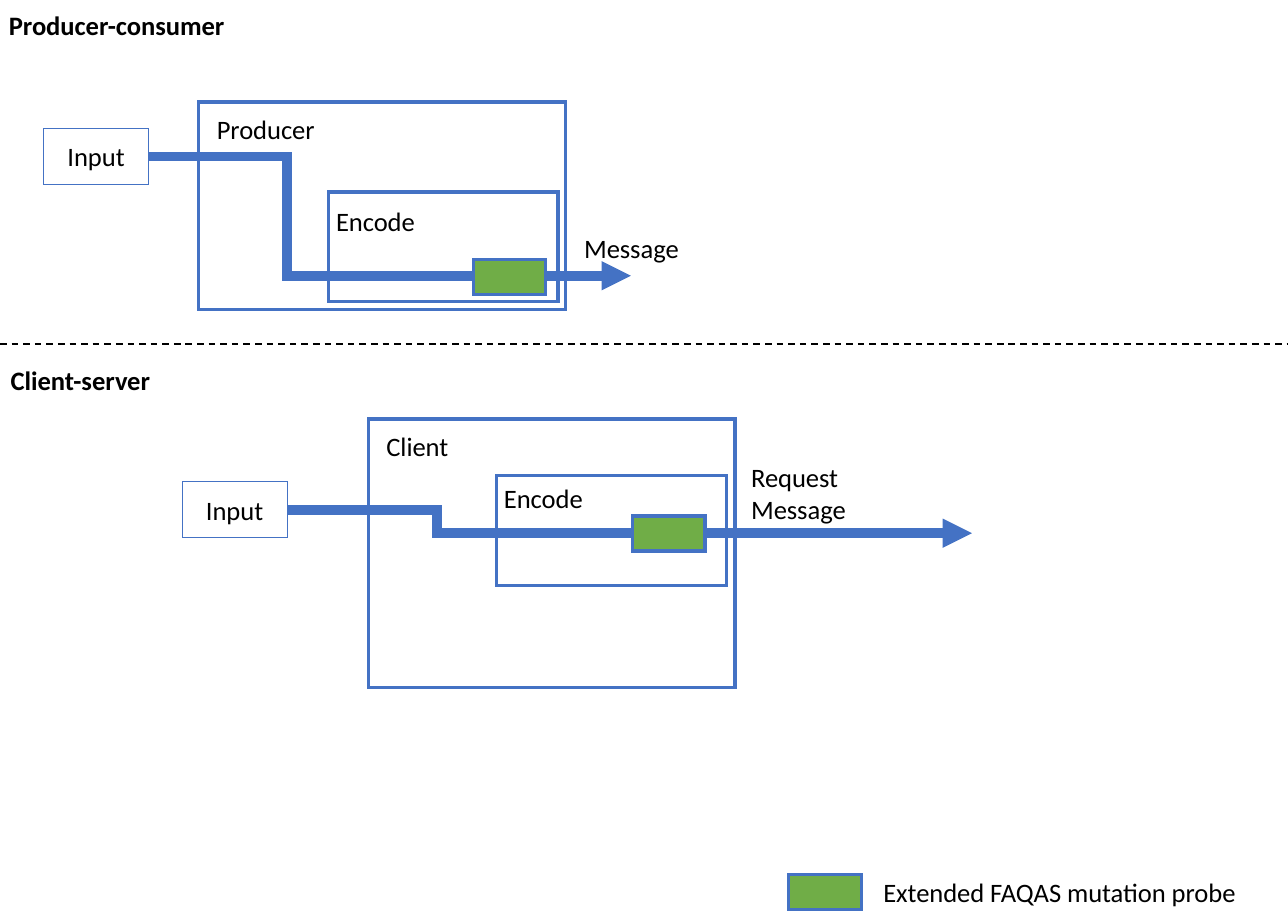
from dataclasses import dataclass

import pptx
import pptx.dml.color
import pptx.enum.dml
import pptx.enum.shapes
import pptx.enum.text
import pptx.oxml
import pptx.oxml.ns
import pptx.util

COLORS = {"blue": "4472C4", "green": "70AD47", "black": "000000"}
FONT = "Calibri"
FONT_SIZE = 8.2
ROW_HEIGHT = 17.28
SLIDE_WIDTH, SLIDE_HEIGHT = 396.85, 283.46
DIVIDER_Y = 106
NAMESPACE = pptx.oxml.ns.nsdecls("a")


@dataclass
class Box:
    left: float
    top: float
    width: float
    height: float
    fill: str = ""
    hairline: bool = False
    text: str = ""


@dataclass
class Label:
    text: str
    left: float
    top: float
    width: float
    height: float = ROW_HEIGHT
    bold: bool = False


@dataclass
class Flow:
    start: tuple[float, float]
    end: tuple[float, float]
    bend: float


def component(left: float, top: float, height: float) -> Box:
    return Box(left, top, 113.04, height)


def encoder(left: float, top: float) -> Box:
    return Box(left, top, 70.8, 33.84)


def input_box(left: float, top: float) -> Box:
    return Box(left, top, 32.4, ROW_HEIGHT, hairline=True, text="Input")


def probe(left: float, top: float) -> Box:
    return Box(left, top, 22.32, 10.8, fill="green")


BOXES = [
    component(61.2, 31.4, 64.08),
    encoder(101.2, 59.2),
    input_box(13.4, 39.5),
    component(113.5, 129.1, 82.8),
    encoder(153.1, 146.6),
    input_box(56.1, 148.5),
]
FLOWS = [
    Flow((45.9, 48.24), (194.4, 84.96), 0.286),
    Flow((88.5, 157.1), (299.52, 164.3), 0.219),
]
PROBES = [probe(145.85, 79.92), probe(194.9, 159.0), probe(243.05, 269.4)]
LABELS = [
    Label("Producer-consumer", -4.32, -0.72, 82.08, bold=True),
    Label("Producer", 59.76, 31.4, 45.36),
    Label("Encode", 96.5, 59.76, 38.88),
    Label("Message", 172.9, 68, 43.92),
    Label("Client-server", -3.8, 108.72, 58.32, bold=True),
    Label("Client", 112, 129.1, 33.84),
    Label("Encode", 148.2, 144.95, 38.88),
    Label("Request\nMessage", 224.35, 138.5, 43.92, 27.36),
    Label("Extended FAQAS mutation probe", 265.1, 266.4, 124.56),
]


def rgb(name: str) -> pptx.dml.color.RGBColor:
    return pptx.dml.color.RGBColor.from_string(COLORS[name])


def write(frame, text: str, bold: bool = False, centred: bool = False) -> None:
    frame.text = text
    frame.word_wrap = False
    frame.auto_size = pptx.enum.text.MSO_AUTO_SIZE.SHAPE_TO_FIT_TEXT
    align = pptx.enum.text.PP_ALIGN
    for paragraph in frame.paragraphs:
        paragraph.alignment = align.CENTER if centred else align.LEFT
        for run in paragraph.runs:
            run.font.name = FONT
            run.font.size = pptx.util.Pt(FONT_SIZE)
            run.font.bold = bold
            run.font.color.rgb = rgb("black")


def sharpen_corners(outline) -> None:
    outline._get_or_add_ln().append(
        pptx.oxml.parse_xml(f'<a:miter {NAMESPACE} lim="800000"/>'))


def add_box(slide, box: Box) -> None:
    Pt = pptx.util.Pt
    rectangle = slide.shapes.add_shape(
        pptx.enum.shapes.MSO_SHAPE.RECTANGLE,
        Pt(box.left), Pt(box.top), Pt(box.width), Pt(box.height))
    rectangle.shadow.inherit = False
    if box.fill:
        rectangle.fill.solid()
        rectangle.fill.fore_color.rgb = rgb(box.fill)
    else:
        rectangle.fill.background()
    rectangle.line.color.rgb = rgb("blue")
    if box.hairline:
        style = rectangle._element.find(pptx.oxml.ns.qn("p:style"))
        rectangle._element.remove(style)
    else:
        rectangle.line.width = Pt(1)
    sharpen_corners(rectangle.line)
    if box.text:
        write(rectangle.text_frame, box.text, centred=True)


def add_label(slide, label: Label) -> None:
    Pt = pptx.util.Pt
    caption = slide.shapes.add_textbox(
        Pt(label.left), Pt(label.top), Pt(label.width), Pt(label.height))
    write(caption.text_frame, label.text, label.bold)


def add_line(slide, kind, start: tuple[float, float], end: tuple[float, float],
             color: str, weight: float):
    Pt = pptx.util.Pt
    line = slide.shapes.add_connector(kind, *map(Pt, start + end))
    line.line.color.rgb = rgb(color)
    line.line.width = Pt(weight)
    line._element.spPr.append(pptx.oxml.parse_xml(f"<a:effectLst {NAMESPACE}/>"))
    return line


def add_flow(slide, flow: Flow) -> None:
    arrow = add_line(slide, pptx.enum.shapes.MSO_CONNECTOR.ELBOW,
                     flow.start, flow.end, "blue", 3)
    sharpen_corners(arrow.line)
    arrow.line._get_or_add_ln().append(
        pptx.oxml.parse_xml(f'<a:tailEnd {NAMESPACE} type="triangle"/>'))
    adjustments = arrow._element.spPr.find(".//" + pptx.oxml.ns.qn("a:avLst"))
    adjustments.append(pptx.oxml.parse_xml(
        f'<a:gd {NAMESPACE} name="adj1" fmla="val {round(flow.bend * 100000)}"/>'))


def main() -> None:
    presentation = pptx.Presentation()
    presentation.slide_width = pptx.util.Pt(SLIDE_WIDTH)
    presentation.slide_height = pptx.util.Pt(SLIDE_HEIGHT)
    presentation.element.sldSz.attrib.pop("type", None)
    slide = presentation.slides.add_slide(presentation.slide_layouts[6])

    for box in BOXES:
        add_box(slide, box)
    for flow in FLOWS:
        add_flow(slide, flow)
    divider = add_line(slide, pptx.enum.shapes.MSO_CONNECTOR.STRAIGHT,
                       (0, DIVIDER_Y), (SLIDE_WIDTH, DIVIDER_Y), "black", 0.5)
    divider.line.dash_style = pptx.enum.dml.MSO_LINE.DASH
    for mutation_probe in PROBES:
        add_box(slide, mutation_probe)
    for label in LABELS:
        add_label(slide, label)

    presentation.save("out.pptx")


if __name__ == "__main__":
    main()
